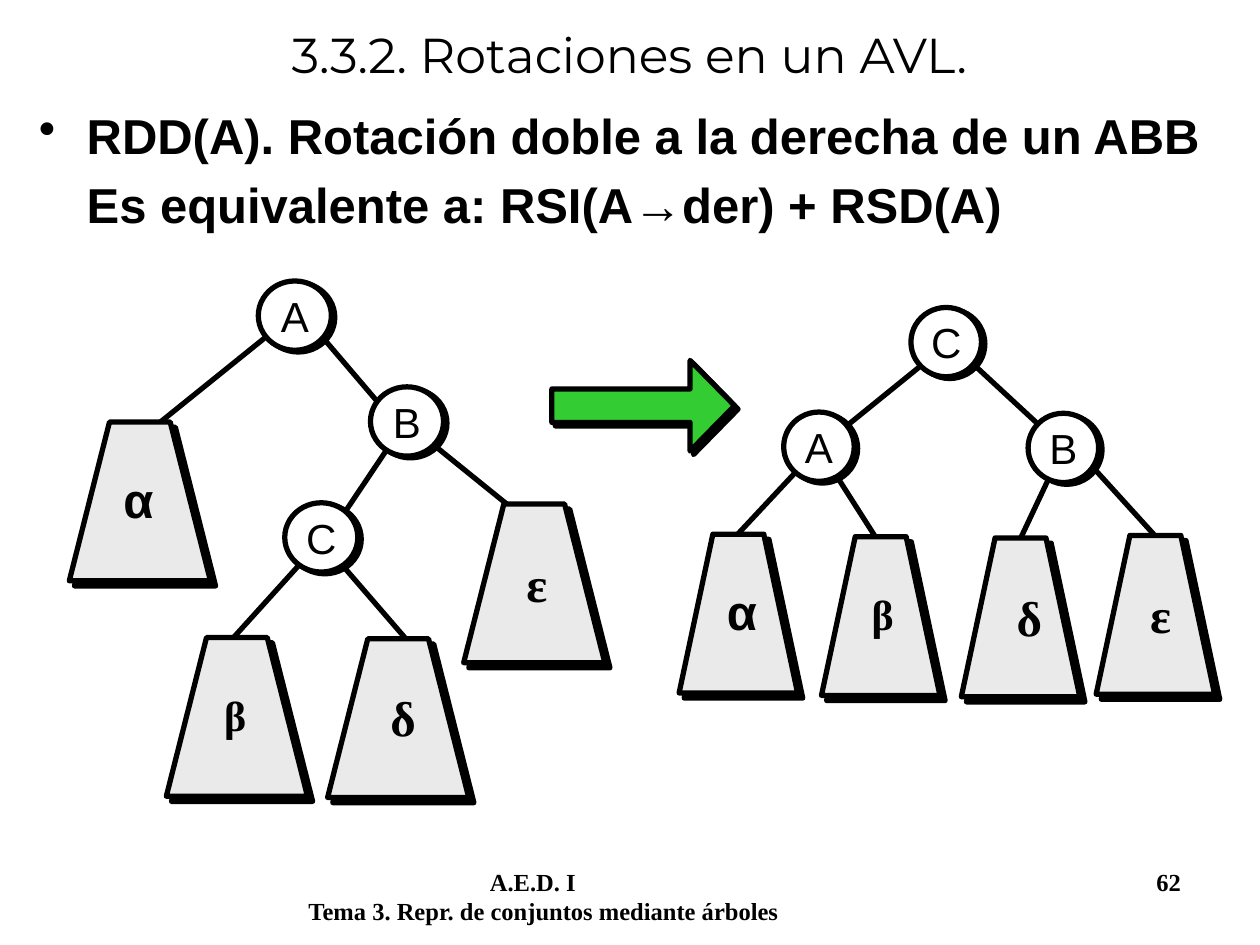
from dataclasses import dataclass

from lxml import etree
from pptx import Presentation
from pptx.dml.color import RGBColor
from pptx.enum.shapes import MSO_CONNECTOR, MSO_SHAPE
from pptx.enum.text import MSO_ANCHOR, PP_ALIGN
from pptx.oxml.ns import qn
from pptx.util import Inches, Pt

STRAIGHT = MSO_CONNECTOR.STRAIGHT
OVAL, RIGHT_ARROW = MSO_SHAPE.OVAL, MSO_SHAPE.RIGHT_ARROW
MIDDLE, CENTER = MSO_ANCHOR.MIDDLE, PP_ALIGN.CENTER


@dataclass(frozen=True)
class Theme:
    ink: str = "000000"
    node: str = "FFFFFF"
    subtree: str = "EAEAEA"
    arrow: str = "33CC33"
    heading: str = "Montserrat"
    sans: str = "Arial"
    serif: str = "Times New Roman"
    large: int = 28
    medium: int = 24
    small: int = 14
    stroke: int = 3


THEME = Theme()

TITLE = "3.3.2. Rotaciones en un AVL."
DEFINITION = "RDD(A). Rotación doble a la derecha de un ABB"
EQUIVALENCE = [("Es equivalente a: RSI(A", True), ("→", False), ("der) + RSD(A)", True)]
FOOTER = ["\tA.E.D. I\t62", "Tema 3. Repr. de conjuntos mediante árboles"]
FOOTER_TABS = [1.44, 6.73]

GREEK_STYLE = {
    "α": (THEME.sans, THEME.large),
    "β": (THEME.serif, THEME.medium),
    "δ": (THEME.serif, THEME.large),
    "ε": (THEME.serif, THEME.large),
}

# nodes: label, left, top; subtrees: label, left, top, label left, label top
BEFORE = {
    "node_width": 0.58, "subtree_width": 1.12, "label_width": 0.58,
    "edges": [(2.29, 2.53, 1.26, 3.36), (2.46, 2.56, 3.04, 3.24),
              (3.19, 3.39, 2.68, 4.15), (3.23, 3.36, 4.17, 4.12),
              (2.55, 4.29, 1.79, 5.13), (2.53, 4.27, 3.23, 5.08)],
    "subtrees": [("α", 0.55, 3.35, 0.88, 3.68), ("β", 1.32, 5.06, 1.68, 5.42),
                 ("δ", 2.6, 5.07, 3, 5.41), ("ε", 3.68, 4, 4.08, 4.34)],
    "nodes": [("A", 2.05, 2.23), ("B", 2.94, 3.07), ("C", 2.26, 3.99)],
}
AFTER = {
    "node_width": 0.56, "subtree_width": 0.94, "label_width": 0.48,
    "edges": [(7.51, 2.74, 6.51, 3.55), (7.54, 2.72, 8.47, 3.58),
              (6.49, 3.56, 5.78, 4.32), (6.52, 3.59, 7.03, 4.39),
              (8.44, 3.55, 8.04, 4.4), (8.53, 3.55, 9.22, 4.31)],
    "subtrees": [("α", 5.39, 4.24, 5.67, 4.57), ("β", 6.52, 4.26, 6.82, 4.62),
                 ("δ", 7.63, 4.27, 7.97, 4.61), ("ε", 8.7, 4.25, 9.03, 4.59)],
    "nodes": [("C", 7.23, 2.44), ("A", 6.22, 3.27), ("B", 8.16, 3.28)],
}
NODE_HEIGHT = 0.55
SUBTREE_HEIGHT = 1.26
SUBTREE_SHOULDER = 0.285  # share of the width cut off at each top corner


def color(value):
    return RGBColor.from_string(value)


def set_font(paragraph, name, size, bold=False):
    font = paragraph.font
    font.name, font.size, font.bold = name, Pt(size), bold
    font.color.rgb = color(THEME.ink)


def add_text(shapes, left, top, width, height, wrap=True):
    box = shapes.add_textbox(*map(Inches, (left, top, width, height)))
    box.text_frame.word_wrap = wrap
    return box.text_frame


def decorate(shape, fill, distance, angle):
    """Fill and outline a shape and give it a hard black shadow."""
    shape.fill.solid()
    shape.fill.fore_color.rgb = color(fill)
    shape.line.color.rgb = color(THEME.ink)
    shape.line.width = Pt(THEME.stroke)
    shape.shadow.inherit = False
    effects = shape._element.spPr.find(qn("a:effectLst"))
    shadow = etree.SubElement(effects, qn("a:outerShdw"), blurRad="0",
                              dist=str(Pt(distance)), dir=str(angle * 60000),
                              algn="ctr", rotWithShape="0")
    etree.SubElement(shadow, qn("a:srgbClr"), val=THEME.ink)


def add_edge(shapes, x1, y1, x2, y2):
    edge = shapes.add_connector(STRAIGHT, *map(Inches, (x1, y1, x2, y2)))
    edge.line.color.rgb = color(THEME.ink)
    edge.line.width = Pt(THEME.stroke)
    etree.SubElement(edge._element.spPr, qn("a:effectLst"))


def add_subtree(shapes, label, left, top, label_left, label_top, width, label_width):
    group = shapes.add_group_shape()
    cut = width * SUBTREE_SHOULDER
    bottom = top + SUBTREE_HEIGHT
    corners = [(left, bottom), (left + cut, top),
               (left + width - cut, top), (left + width, bottom)]
    points = [(Inches(x), Inches(y)) for x, y in corners]
    builder = group.shapes.build_freeform(*points[0])
    builder.add_line_segments(points[1:], close=True)
    decorate(builder.convert_to_shape(), THEME.subtree, 4.2, 45)
    frame = add_text(group.shapes, label_left, label_top, label_width, 0.57)
    frame.text = label
    set_font(frame.paragraphs[0], *GREEK_STYLE[label], bold=True)


def add_node(shapes, label, left, top, width):
    node = shapes.add_shape(OVAL, *map(Inches, (left, top, width, NODE_HEIGHT)))
    decorate(node, THEME.node, 2.2, 27)
    frame = node.text_frame
    frame.margin_left = frame.margin_right = Inches(0.02)
    frame.margin_top = frame.margin_bottom = Inches(0.01)
    frame.vertical_anchor = MIDDLE
    frame.text = label
    frame.paragraphs[0].alignment = CENTER
    set_font(frame.paragraphs[0], THEME.sans, THEME.medium)


def add_tree(shapes, tree):
    for edge in tree["edges"]:
        add_edge(shapes, *edge)
    for subtree in tree["subtrees"]:
        add_subtree(shapes, *subtree, tree["subtree_width"], tree["label_width"])
    for node in tree["nodes"]:
        add_node(shapes, *node, tree["node_width"])


def add_title(shapes):
    frame = add_text(shapes, 0.33, 0, 9.33, 0.86)
    frame.vertical_anchor = MIDDLE
    frame.text = TITLE
    frame.paragraphs[0].alignment = CENTER
    set_font(frame.paragraphs[0], THEME.heading, THEME.large)


def add_body(shapes):
    frame = add_text(shapes, 0.21, 0.79, 9.79, 1.22)
    definition, equivalence = frame.paragraphs[0], frame.add_paragraph()
    definition.text = DEFINITION
    for text, bold in EQUIVALENCE:
        run = equivalence.add_run()
        run.text, run.font.bold = text, bold
    equivalence.space_before = Pt(THEME.large * 0.2)
    hanging = Inches(0.38)
    for paragraph, indent in ((definition, -hanging), (equivalence, 0)):
        properties = paragraph._p.get_or_add_pPr()
        properties.set("marL", str(hanging))
        properties.set("indent", str(indent))
    etree.SubElement(definition._p.pPr, qn("a:buChar"), char="•")
    for paragraph in frame.paragraphs:
        set_font(paragraph, THEME.sans, THEME.large, bold=True)


def add_footer(shapes):
    frame = add_text(shapes, 2.35, 6.83, 7.4, 0.5)
    frame.text = "\n".join(FOOTER)
    tabs = etree.SubElement(frame.paragraphs[0]._p.get_or_add_pPr(), qn("a:tabLst"))
    for position in FOOTER_TABS:
        etree.SubElement(tabs, qn("a:tab"), pos=str(Inches(position)), algn="l")
    for paragraph in frame.paragraphs:
        set_font(paragraph, THEME.serif, THEME.small, bold=True)


def main():
    deck = Presentation()
    deck.slide_width, deck.slide_height = Inches(10), Inches(7.5)
    shapes = deck.slides.add_slide(deck.slide_layouts[6]).shapes
    add_title(shapes)
    add_body(shapes)
    add_tree(shapes, BEFORE)
    rotation = shapes.add_shape(RIGHT_ARROW, *map(Inches, (4.38, 2.86, 1.45, 0.72)))
    rotation.adjustments[0], rotation.adjustments[1] = 0.37, 0.49
    decorate(rotation, THEME.arrow, 2.8, 45)
    add_tree(shapes, AFTER)
    add_footer(shapes)
    deck.save("out.pptx")


if __name__ == "__main__":
    main()
